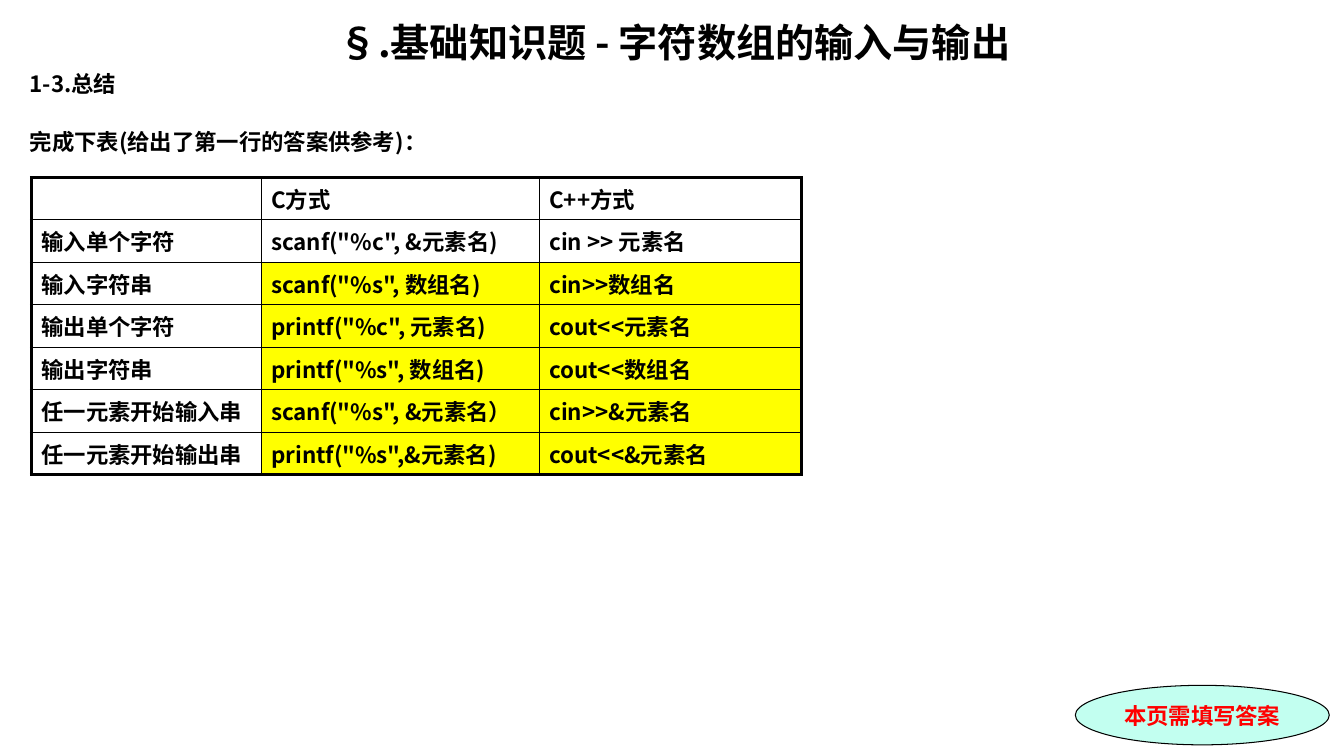
from lxml import etree
from pptx import Presentation
from pptx.dml.color import RGBColor
from pptx.enum.shapes import MSO_SHAPE
from pptx.enum.text import MSO_ANCHOR, MSO_AUTO_SIZE, PP_ALIGN
from pptx.oxml.ns import qn
from pptx.util import Cm, Pt

ELLIPSE = MSO_SHAPE.OVAL
TOP, MIDDLE = MSO_ANCHOR.TOP, MSO_ANCHOR.MIDDLE
LEFT, CENTER = PP_ALIGN.LEFT, PP_ALIGN.CENTER
NO_FIT = MSO_AUTO_SIZE.NONE
TITLE_ONLY = 5

COLORS = {"ink": "000000", "paper": "FFFFFF", "answer": "FFFF00",
          "badge": "C2FFF0", "alert": "FF0000"}
CJK_FONT = "Noto Sans CJK SC"
BADGE_FONT = "Times New Roman"
OUTER_LINE, INNER_LINE = 2.25, 1

COLUMN_WIDTHS = [5.79, 7.01, 6.6]
ROW_HEIGHT = 1.07
SUMMARY = [
    ["", "C方式", "C++方式"],
    ["输入单个字符", 'scanf("%c", &元素名)', "cin >> 元素名"],
    ["输入字符串", 'scanf("%s", 数组名)', "cin>>数组名"],
    ["输出单个字符", 'printf("%c", 元素名)', "cout<<元素名"],
    ["输出字符串", 'printf("%s", 数组名)', "cout<<数组名"],
    ["任一元素开始输入串", 'scanf("%s", &元素名）', "cin>>&元素名"],
    ["任一元素开始输出串", 'printf("%s",&元素名)', "cout<<&元素名"],
]


def rgb(name):
    return RGBColor.from_string(COLORS[name])


class SlideBuilder:
    def __init__(self, slide):
        self.slide = slide

    def style(self, paragraph, size=16, color="ink", font=CJK_FONT, align=LEFT):
        paragraph.alignment = align
        paragraph.line_spacing = 1.0
        for run in paragraph.runs:
            run.font.size = Pt(size)
            run.font.bold = True
            run.font.name = font
            run.font.color.rgb = rgb(color)
            east_asian = etree.Element(qn("a:ea"), typeface=CJK_FONT)
            run.font._element.find(qn("a:latin")).addnext(east_asian)

    def frame(self, shape):
        text_frame = shape.text_frame
        text_frame.word_wrap = True
        text_frame.auto_size = NO_FIT
        text_frame.vertical_anchor = TOP
        text_frame.margin_top = text_frame.margin_bottom = 0
        return text_frame

    def title(self, text, left, top, width, height):
        heading = self.slide.shapes.title
        heading.left, heading.top = Cm(left), Cm(top)
        heading.width, heading.height = Cm(width), Cm(height)
        text_frame = self.frame(heading)
        text_frame.text = text
        self.style(text_frame.paragraphs[0], size=28, align=CENTER)

    def text(self, lines, left, top, width, height, gap):
        box = self.slide.shapes.add_textbox(Cm(left), Cm(top), Cm(width), Cm(height))
        text_frame = self.frame(box)
        text_frame.text = "\n".join(lines)
        for index, paragraph in enumerate(text_frame.paragraphs):
            self.style(paragraph)
            paragraph.space_before = Pt(gap if index else 0)

    def border(self, cell, side, width):
        line = etree.SubElement(cell._tc.get_or_add_tcPr(), qn(f"a:ln{side}"),
                                w=str(Pt(width)))
        fill = etree.SubElement(line, qn("a:solidFill"))
        etree.SubElement(fill, qn("a:srgbClr"), val=COLORS["ink"])

    def table(self, rows, left, top, widths, row_height):
        last_row, last_column = len(rows) - 1, len(widths) - 1
        table = self.slide.shapes.add_table(
            len(rows), len(widths), Cm(left), Cm(top),
            Cm(sum(widths)), Cm(row_height * len(rows))).table
        table.first_row = table.horz_banding = False
        for column, width in zip(table.columns, widths):
            column.width = Cm(width)
        for r, texts in enumerate(rows):
            table.rows[r].height = Cm(row_height)
            for c, text in enumerate(texts):
                cell = table.cell(r, c)
                # Heavy frame outside, thin grid inside
                edges = {"L": c == 0, "R": c == last_column,
                         "T": r == 0, "B": r == last_row}
                for side, is_outer in edges.items():
                    self.border(cell, side, OUTER_LINE if is_outer else INNER_LINE)
                # Answers start below the worked first row
                cell.fill.solid()
                cell.fill.fore_color.rgb = rgb("answer" if r > 1 and c else "paper")
                cell.text_frame.text = text
                self.style(cell.text_frame.paragraphs[0])

    def badge(self, text, left, top, width, height):
        badge = self.slide.shapes.add_shape(
            ELLIPSE, Cm(left), Cm(top), Cm(width), Cm(height))
        badge.shadow.inherit = False
        badge.fill.solid()
        badge.fill.fore_color.rgb = rgb("badge")
        badge.line.color.rgb = rgb("ink")
        badge.line.width = Pt(0.75)
        text_frame = self.frame(badge)
        text_frame.vertical_anchor = MIDDLE
        text_frame.text = text
        self.style(text_frame.paragraphs[0], color="alert", font=BADGE_FONT,
                   align=CENTER)


def main():
    presentation = Presentation()
    presentation.slide_width, presentation.slide_height = Cm(33.87), Cm(19.05)
    layout = presentation.slide_layouts[TITLE_ONLY]
    page = SlideBuilder(presentation.slides.add_slide(layout))

    # Heading and task
    page.title("§.基础知识题 - 字符数组的输入与输出", 0.5, 0.45, 33, 1.43)
    page.text(["1-3.总结", "完成下表(给出了第一行的答案供参考)："],
              0.5, 1.78, 33, 2.5, gap=22)

    # Summary of C and C++ input and output
    page.table(SUMMARY, 0.79, 4.47, COLUMN_WIDTHS, ROW_HEIGHT)

    # Reminder in the corner
    page.badge("本页需填写答案", 27.1, 17.27, 6.4, 1.5)

    presentation.save("out.pptx")


if __name__ == "__main__":
    main()
